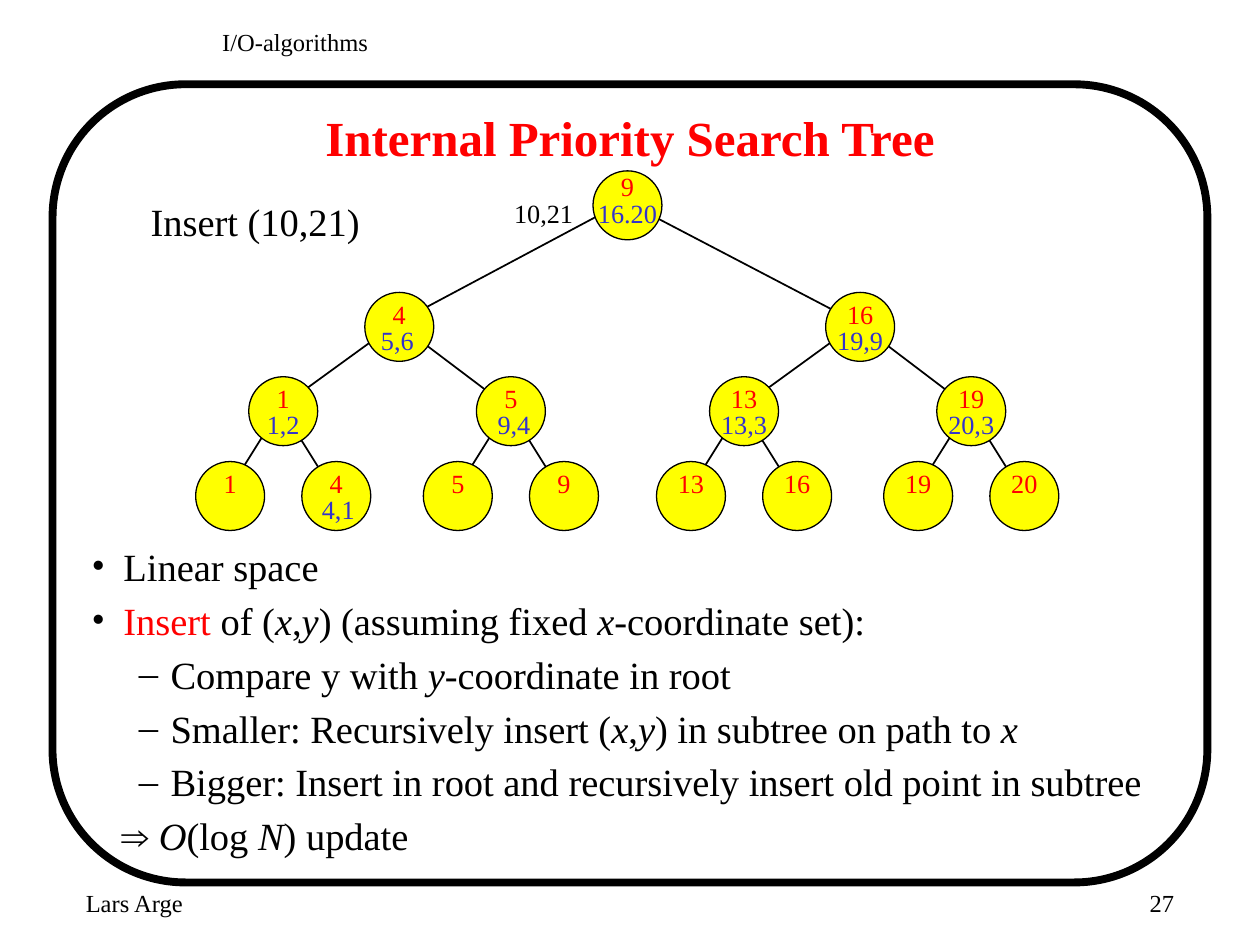
from dataclasses import dataclass

from lxml import etree
from pptx import Presentation
from pptx.dml.color import RGBColor
from pptx.enum.shapes import MSO_CONNECTOR, MSO_SHAPE
from pptx.enum.text import MSO_ANCHOR, PP_ALIGN
from pptx.oxml.ns import qn
from pptx.util import Cm, Pt

LEFT, CENTER, RIGHT = PP_ALIGN.LEFT, PP_ALIGN.CENTER, PP_ALIGN.RIGHT
TOP, MIDDLE = MSO_ANCHOR.TOP, MSO_ANCHOR.MIDDLE
STRAIGHT = MSO_CONNECTOR.STRAIGHT
FRAME, CIRCLE = MSO_SHAPE.FLOWCHART_ALTERNATE_PROCESS, MSO_SHAPE.OVAL

FONT = "Times New Roman"
BLACK, RED, BLUE, YELLOW = "000000", "FF0000", "3333CC", "FFFF00"
DIAMETER = 1.39
LABEL_SIZE, LABEL_HEIGHT = 15, 0.64
KEY_RISE, POINT_RISE = 0.58, 0.05
LEAF_OFFSET = 1.07
LEVEL_Y = (4.14, 6.59, 8.29, 10)


@dataclass
class Node:
    x: float
    level: int
    key: str
    point: str = ""
    point_shift: float = 0
    label_rise: float = 0

    @property
    def y(self) -> float:
        return LEVEL_Y[self.level]


@dataclass
class Item:
    """One body line; text between asterisks is italic."""
    text: str
    bullet: str
    margin: float
    hanging: float = 0.64
    red_start: str = ""


# The children of node i are nodes 2i + 1 and 2i + 2.
INNER = [
    Node(12.65, 0, "9", "16.20", label_rise=0.12),
    Node(8.05, 1, "4", "5,6", -0.04),
    Node(17.34, 1, "16", "19,9"),
    Node(5.71, 2, "1", "1,2"),
    Node(10.3, 2, "5", "9,4", 0.06),
    Node(15, 2, "13", "13,3"),
    Node(19.58, 2, "19", "20,3"),
]
LEAF_KEYS = ("1", "4", "5", "9", "13", "16", "19", "20")
LEAF_POINTS = {"4": "4,1"}

ITEMS = [
    Item("Linear space", "•", 0.64),
    Item("Insert of (*x*,*y*) (assuming fixed *x*-coordinate set):", "•", 0.64,
         red_start="Insert"),
    Item("Compare y with *y*-coordinate in root", "–", 1.59),
    Item("Smaller: Recursively insert (*x*,*y*) in subtree on path to *x*", "–", 1.59),
    Item("Bigger: Insert in root and recursively insert old point in subtree", "–", 1.59),
    Item("⇒ *O*(log* N*) update", "", 0.6, 0),
]


def color(hex_code: str) -> RGBColor:
    return RGBColor.from_string(hex_code)


def style_run(run, size: float, hex_code: str, bold=False, italic=False) -> None:
    run.font.name = FONT
    run.font.size = Pt(size)
    run.font.bold = bold
    run.font.italic = italic
    run.font.color.rgb = color(hex_code)


def add_text(slide, text: str, box: tuple, size: float, hex_code=BLACK, align=LEFT,
             anchor=TOP, bold=False, wrap=True, inset=True, before=0.0) -> None:
    frame = slide.shapes.add_textbox(*map(Cm, box)).text_frame
    frame.text = text
    frame.word_wrap = wrap
    frame.vertical_anchor = anchor
    if not inset:
        frame.margin_left = frame.margin_right = 0
        frame.margin_top = frame.margin_bottom = 0
    paragraph = frame.paragraphs[0]
    paragraph.alignment = align
    paragraph.space_before = Pt(before)
    style_run(paragraph.runs[0], size, hex_code, bold)


def add_label(slide, text: str, x: float, top: float, hex_code: str) -> None:
    """Centre a tight one-line label on x."""
    width = sum(0.28 if char.isdigit() else 0.14 for char in text)
    add_text(slide, text, (x - width / 2, top, width, LABEL_HEIGHT), LABEL_SIZE,
             hex_code, CENTER, wrap=False, inset=False, before=3)


def add_outlined(slide, preset, box: tuple, width: float, fill="") -> None:
    shape = slide.shapes.add_shape(preset, *map(Cm, box))
    shape.shadow.inherit = False
    shape.line.color.rgb = color(BLACK)
    shape.line.width = Pt(width)
    if fill:
        shape.fill.solid()
        shape.fill.fore_color.rgb = color(fill)
    else:
        shape.fill.background()


def add_edge(slide, parent: Node, child: Node) -> None:
    dx, dy = -0.05, -0.08
    edge = slide.shapes.add_connector(
        STRAIGHT, Cm(parent.x + dx), Cm(parent.y + dy), Cm(child.x + dx), Cm(child.y + dy))
    edge.line.color.rgb = color(BLACK)
    edge.line.width = Pt(1)
    etree.SubElement(edge._element.spPr, qn("a:effectLst"))


def add_tree(slide) -> None:
    parents = [node for node in INNER if node.level == 2]
    leaves = [
        Node(parents[i // 2].x + (LEAF_OFFSET if i % 2 else -LEAF_OFFSET), 3,
             key, LEAF_POINTS.get(key, ""), 0.04)
        for i, key in enumerate(LEAF_KEYS)
    ]
    nodes = INNER + leaves
    for i, child in enumerate(nodes[1:]):
        add_edge(slide, nodes[i // 2], child)
    for node in nodes:
        corner = (node.x - DIAMETER / 2, node.y - DIAMETER / 2)
        add_outlined(slide, CIRCLE, (*corner, DIAMETER, DIAMETER), 0.75, YELLOW)
    for node in nodes:
        y = node.y - node.label_rise
        add_label(slide, node.key, node.x, y - KEY_RISE, RED)
        if node.point:
            add_label(slide, node.point, node.x + node.point_shift, y - POINT_RISE, BLUE)


def format_bullet(paragraph, item: Item) -> None:
    props = paragraph._p.get_or_add_pPr()
    props.set("marL", str(Cm(item.margin)))
    props.set("indent", str(-Cm(item.hanging)))
    if item.bullet:
        bullet_color = etree.SubElement(props, qn("a:buClr"))
        etree.SubElement(bullet_color, qn("a:srgbClr")).set("val", BLACK)
        etree.SubElement(props, qn("a:buFont")).set("typeface", FONT)
        etree.SubElement(props, qn("a:buChar")).set("char", item.bullet)
    else:
        etree.SubElement(props, qn("a:buNone"))


def add_items(slide) -> None:
    frame = slide.shapes.add_textbox(Cm(1.6), Cm(10.82), Cm(22.2), Cm(7.52)).text_frame
    frame.word_wrap = True
    for i, item in enumerate(ITEMS):
        paragraph = frame.paragraphs[0] if i == 0 else frame.add_paragraph()
        paragraph.space_before = Pt(4.4)
        format_bullet(paragraph, item)
        pieces = [(item.red_start, RED, False)]
        rest = item.text.removeprefix(item.red_start)
        pieces += [(part, BLACK, n % 2 == 1) for n, part in enumerate(rest.split("*"))]
        for text, hex_code, italic in pieces:
            if text:
                run = paragraph.add_run()
                run.text = text
                style_run(run, 22, hex_code, italic=italic)


def main() -> None:
    deck = Presentation()
    deck.slide_width, deck.slide_height = Cm(25.4), Cm(19.05)
    slide = deck.slides.add_slide(deck.slide_layouts[6])
    add_outlined(slide, FRAME, (1.06, 1.7, 23.28, 16.09), 4.5)
    add_text(slide, "Lars Arge", (1.48, 17.78, 5.29, 1.27), 14)
    add_text(slide, "I/O-algorithms", (4.23, 0.42, 16.72, 1.06), 14)
    add_text(slide, "27", (18.63, 17.78, 5.29, 1.27), 14, align=RIGHT)
    add_items(slide)
    add_text(slide, "Internal Priority Search Tree", (1.9, 1.91, 21.6, 1.7), 28, RED,
             CENTER, MIDDLE, bold=True)
    add_tree(slide)
    add_text(slide, "Insert (10,21)", (2.77, 3.86, 4.75, 1.19), 22, align=CENTER,
             wrap=False, before=4.4)
    add_label(slide, "10,21", 10.96, 3.98, BLACK)
    deck.save("out.pptx")


if __name__ == "__main__":
    main()
